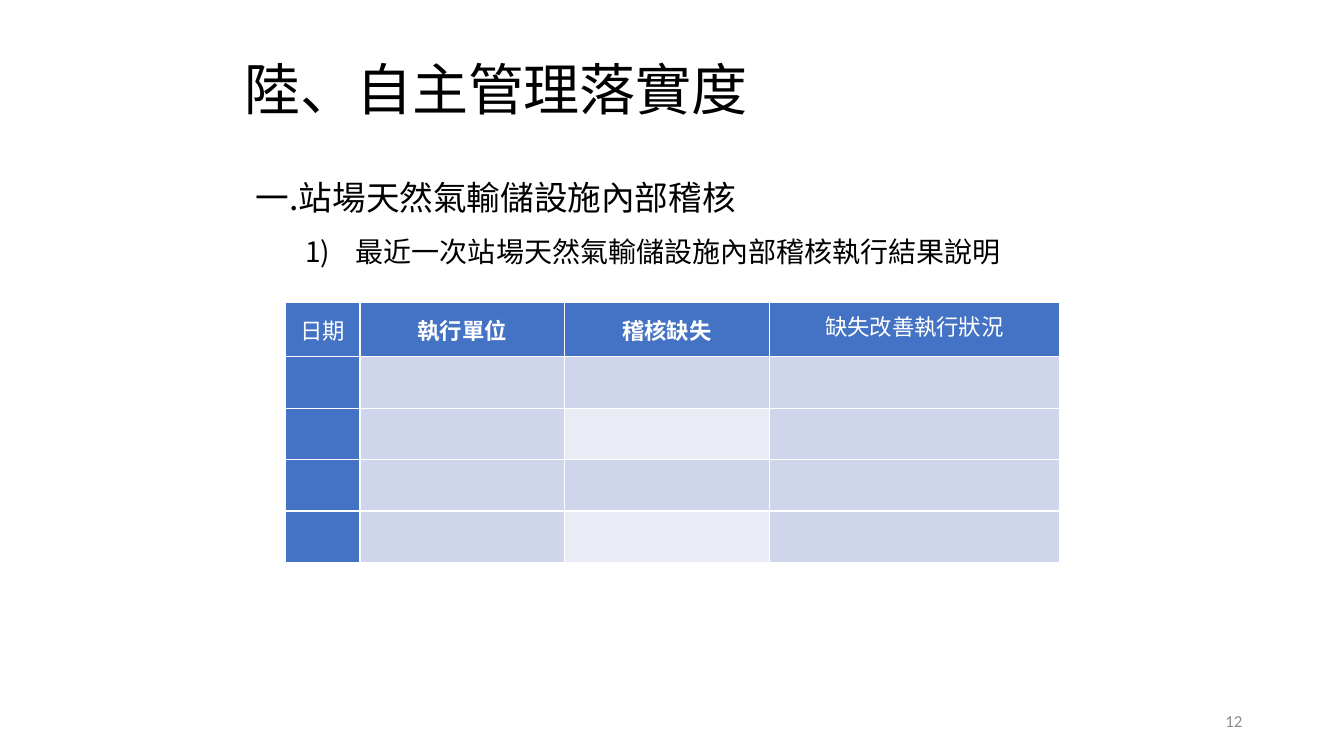
from pptx import Presentation
from pptx.dml.color import RGBColor
from pptx.enum import text as t
from pptx.oxml import parse_xml
from pptx.oxml.ns import nsdecls, qn
from pptx.util import Inches, Pt

COLORS = {"ink": "000000", "gray": "8C8C8C", "white": "FFFFFF",
          "blue": "4472C4", "band": "CFD5EA", "pale": "E9EBF5"}
CJK = "Noto Sans CJK SC"
HEADS = ["日期", "執行單位", "稽核缺失", "缺失改善執行狀況"]
WIDTHS = [0.74, 2.03, 2.03, 2.88]
HEIGHTS = [0.54] + [0.51] * 4


def color(name):
    return RGBColor.from_string(COLORS[name])


def assign(item, values):
    for key, value in values.items():
        setattr(item, key, value)


def place(shape, left, top, width, height):
    assign(shape, {"left": Inches(left), "top": Inches(top),
                   "width": Inches(width), "height": Inches(height)})


def write(para, words, size, ink="ink", face=CJK, bold=False):
    """Add a run, with the face set for Latin and East Asian text."""
    run = para.add_run()
    run.text = words
    assign(run.font, {"size": Pt(size), "name": face, "bold": bold})
    run.font.color.rgb = color(ink)
    props = run._r.get_or_add_rPr()
    props.append(parse_xml(f'<a:ea {nsdecls("a")} typeface="{face}"/>'))
    return run


def add_title(slide):
    title = slide.shapes.title
    place(title, 2.42, 0.61, 7.63, 0.61)
    frame = title.text_frame
    assign(frame, {"margin_left": 0, "margin_right": 0, "margin_top": 0,
                   "margin_bottom": 0, "word_wrap": True,
                   "vertical_anchor": t.MSO_ANCHOR.MIDDLE,
                   "auto_size": t.MSO_AUTO_SIZE.SHAPE_TO_FIT_TEXT})
    para = frame.paragraphs[0]
    assign(para, {"alignment": t.PP_ALIGN.LEFT, "line_spacing": 0.9})
    para._p.get_or_add_pPr().set("marL", str(Inches(0.01)))
    run = write(para, "陸、自主管理落實度", 40)
    run._r.get_or_add_rPr().set("spc", "-10")


def add_box(slide, *spot):
    box = slide.shapes.add_textbox(*map(Inches, spot))
    assign(box.text_frame, {"word_wrap": True,
                            "vertical_anchor": t.MSO_ANCHOR.MIDDLE})
    return box.text_frame


def add_body(slide):
    frame = add_box(slide, 2.44, 1.53, 8.25, 1.15)
    frame.auto_size = t.MSO_AUTO_SIZE.SHAPE_TO_FIT_TEXT
    head = frame.paragraphs[0]
    head.line_spacing = 1.5
    write(head, "一.站場天然氣輸儲設施內部稽核", 24)
    item = frame.add_paragraph()
    props = item._p.get_or_add_pPr()
    props.set("marL", str(Inches(0.99)))
    props.set("indent", str(Inches(-0.5)))
    props.append(parse_xml(f'<a:buFont {nsdecls("a")} typeface="{CJK}"/>'))
    props.append(parse_xml(
        f'<a:buAutoNum {nsdecls("a")} type="arabicParenR"/>'))
    item.line_spacing = 1.5
    write(item, "最近一次站場天然氣輸儲設施內部稽核執行結果說明", 20)


def add_number(slide):
    para = add_box(slide, 9.42, 6.95, 3, 0.4).paragraphs[0]
    para.alignment = t.PP_ALIGN.RIGHT
    write(para, "12", 12, "gray", "Calibri")


def paint(cell, name):
    """Give a cell thin white borders and a solid fill."""
    props = cell._tc.get_or_add_tcPr()
    for side in "LRTB":
        props.append(parse_xml(
            f'<a:ln{side} {nsdecls("a")} w="{Pt(1)}"><a:solidFill>'
            f'<a:srgbClr val="{COLORS["white"]}"/></a:solidFill></a:ln{side}>'))
    cell.fill.solid()
    cell.fill.fore_color.rgb = color(name)


def shade(row, col):
    if row == 0 or col == 0:
        return "blue"
    return "pale" if col == 2 and row % 2 == 0 else "band"


def add_grid(slide):
    spot = map(Inches, (2.83, 3, sum(WIDTHS), sum(HEIGHTS)))
    grid = slide.shapes.add_table(len(HEIGHTS), len(WIDTHS), *spot).table
    assign(grid, {"first_row": False, "horz_banding": False})
    for col, width in enumerate(WIDTHS):
        grid.columns[col].width = Inches(width)
    for row, height in enumerate(HEIGHTS):
        grid.rows[row].height = Inches(height)
        for col in range(len(WIDTHS)):
            paint(grid.cell(row, col), shade(row, col))
    for col, words in enumerate(HEADS):
        cell = grid.cell(0, col)
        assign(cell, {"margin_left": Inches(0.07), "margin_right": Inches(0.07),
                      "margin_top": 0, "margin_bottom": 0,
                      "vertical_anchor": t.MSO_ANCHOR.MIDDLE})
        para = cell.text_frame.paragraphs[0]
        para.alignment = t.PP_ALIGN.CENTER
        write(para, words, 16, "white", bold=col in (1, 2))
    para.line_spacing = Pt(18)


def main():
    deck = Presentation()
    assign(deck, {"slide_width": Inches(13.33), "slide_height": Inches(7.5)})
    slide = deck.slides.add_slide(deck.slide_layouts[5])
    add_title(slide)
    add_number(slide)
    add_body(slide)
    add_grid(slide)
    deck.save("out.pptx")


if __name__ == "__main__":
    main()
